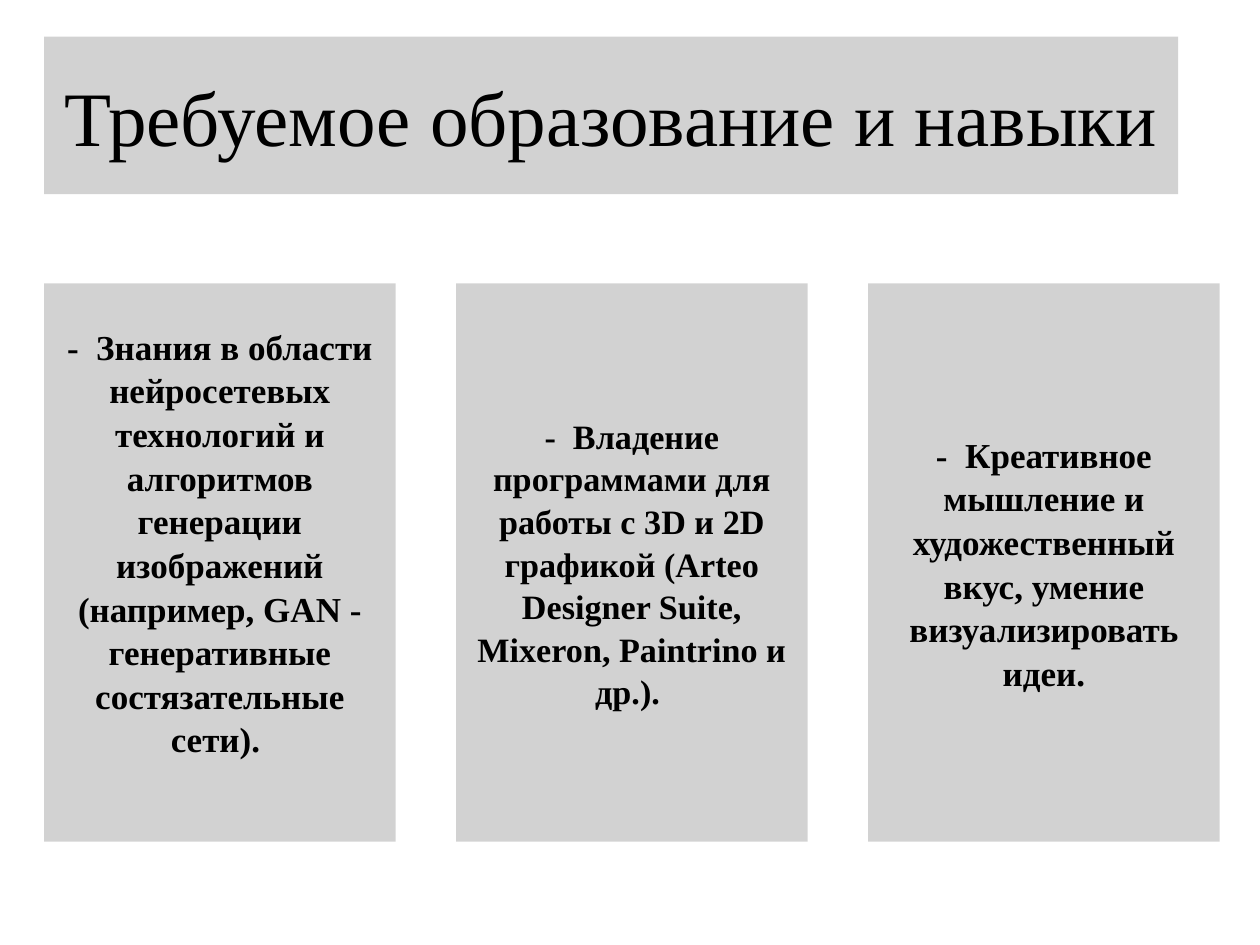
from pptx import Presentation
from pptx.dml.color import RGBColor
from pptx.enum.shapes import MSO_SHAPE as Shape
from pptx.enum.text import MSO_ANCHOR as Anchor, PP_ALIGN as Align
from pptx.oxml.ns import qn
from pptx.util import Inches, Pt
from lxml import etree

COLORS = {"panel": "A6A6A6", "text": "000000"}
FONT = "Times New Roman"

prs = Presentation()
prs.slide_width, prs.slide_height = Inches(10), Inches(7.5)
slide = prs.slides.add_slide(prs.slide_layouts[6])


def add_panel(left, top, width, height, text, size, bold):
    """Half-transparent grey rectangle with centred text."""
    panel = slide.shapes.add_shape(
        Shape.RECTANGLE, Inches(left), Inches(top), Inches(width), Inches(height))
    panel.shadow.inherit = False
    panel.line.fill.background()
    panel.fill.solid()
    panel.fill.fore_color.rgb = RGBColor.from_string(COLORS["panel"])
    color = panel.fill._xPr.find(qn("a:solidFill"))[0]
    etree.SubElement(color, qn("a:alpha"), val="50000")

    frame = panel.text_frame
    frame.word_wrap = True
    frame.vertical_anchor = Anchor.MIDDLE
    paragraph = frame.paragraphs[0]
    paragraph.alignment = Align.CENTER
    run = paragraph.add_run()
    run.text = text
    for name, value in {"name": FONT, "size": Pt(size), "bold": bold}.items():
        setattr(run.font, name, value)
    run.font.color.rgb = RGBColor.from_string(COLORS["text"])
    return panel


# Heading
margin = 0.35
add_panel(margin, 0.29, 9, 1.25, "Требуемое образование и навыки", 44, False)

# Three requirement cards: text, font size, bottom inset
requirements = [
    ("-  Знания в области нейросетевых технологий и алгоритмов генерации "
     "изображений (например, GAN - генеративные состязательные сети). ", 20, 0.38),
    ("-  Владение программами для работы с 3D и 2D графикой "
     "(Arteo Designer Suite, Mixeron, Paintrino и др.). ", 19.5, 0.05),
    ("-  Креативное мышление и художественный вкус, "
     "умение визуализировать идеи.", 20, 0.05),
]
card_width, card_step = 2.79, 3.27
for i, (text, size, bottom_inset) in enumerate(requirements):
    card = add_panel(margin + i * card_step, 2.25, card_width, 4.43, text, size, True)
    card.text_frame.margin_bottom = Inches(bottom_inset)
    card.text_frame.paragraphs[0].line_spacing = 1.04

prs.save("out.pptx")
